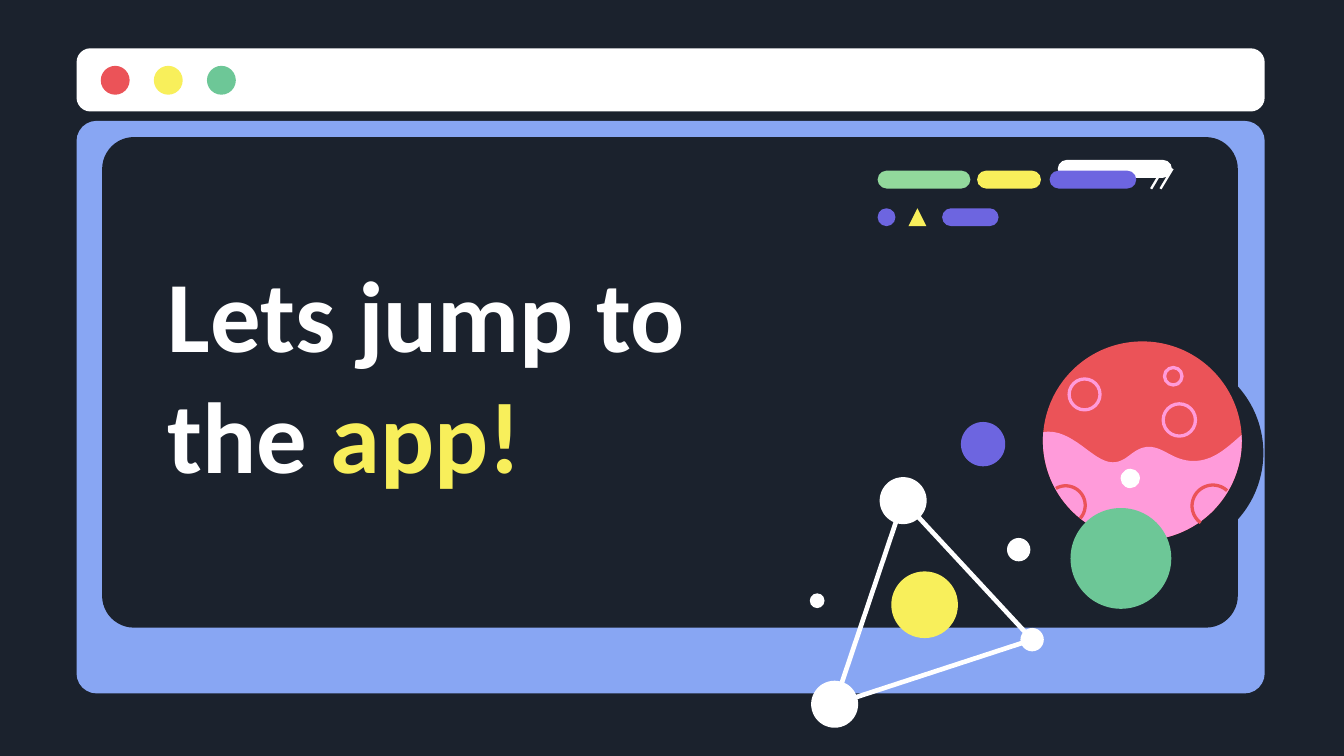
from dataclasses import dataclass
from math import cos, radians, sin

from lxml.etree import SubElement
from pptx import Presentation
from pptx.dml.color import RGBColor
from pptx.enum.shapes import MSO_CONNECTOR, MSO_SHAPE
from pptx.enum.text import MSO_ANCHOR
from pptx.oxml.ns import qn
from pptx.util import Inches, Pt


@dataclass(frozen=True)
class Theme:
    night: RGBColor = RGBColor.from_string("1B222D")
    frame: RGBColor = RGBColor.from_string("88A6F3")
    white: RGBColor = RGBColor.from_string("FFFFFF")
    red: RGBColor = RGBColor.from_string("EB5358")
    yellow: RGBColor = RGBColor.from_string("F8EF5B")
    green: RGBColor = RGBColor.from_string("6DC797")
    mint: RGBColor = RGBColor.from_string("92D99C")
    violet: RGBColor = RGBColor.from_string("6D65E0")
    pink: RGBColor = RGBColor.from_string("FF9BDA")
    font: str = "Calibri"
    title_size: int = 54
    crater_line: float = 1.75


theme = Theme()
presentation = Presentation()
presentation.slide_width = Inches(10)
presentation.slide_height = Inches(5.625)
slide = presentation.slides.add_slide(presentation.slide_layouts[6])
slide.background.fill.solid()
slide.background.fill.fore_color.rgb = theme.night

# Grid of 100 columns by 56.25 rows; all places below count in its square cells.
CELL = presentation.slide_width // 100


def add_preset(kind, left, top, width, height, fill=None, outline=None, corner=None):
    """Add a preset shape placed in grid cells, filled, outlined or both."""
    shape = slide.shapes.add_shape(
        kind, *(round(cells * CELL) for cells in (left, top, width, height)))
    shape.shadow.inherit = False
    if corner is not None:
        shape.adjustments[0] = corner
    if fill is None:
        shape.fill.background()
    else:
        shape.fill.solid()
        shape.fill.fore_color.rgb = fill
    if outline is None:
        shape.line.fill.background()
    else:
        shape.line.color.rgb = outline
        shape.line.width = Pt(theme.crater_line)


def arc_points(center_x, center_y, radius, start, end):
    """Return points along an arc, angles in degrees clockwise from the right."""
    angles = [radians(start + (end - start) * step / 60) for step in range(61)]
    return [(center_x + radius * cos(a), center_y + radius * sin(a)) for a in angles]


# Browser window
for left, top, width, height, corner, fill in [
    (5.7, 9, 88.4, 42.6, 0.035, theme.frame),
    (7.6, 10.2, 84.5, 36.5, 0.065, theme.night),
    (5.7, 3.6, 88.4, 4.7, 0.22, theme.white),
]:
    add_preset(MSO_SHAPE.ROUNDED_RECTANGLE, left, top, width, height, fill, corner=corner)
for index, fill in enumerate([theme.red, theme.yellow, theme.green]):
    add_preset(MSO_SHAPE.OVAL, 7.5 + 3.95 * index, 4.9, 2.15, 2.15, fill)

# Code pills
PILL = 1.33
for left, top, width, fill in [
    (78.7, 11.9, 8.5, theme.white),
    (65.3, 12.7, 6.9, theme.mint),
    (72.7, 12.7, 4.75, theme.yellow),
    (78.1, 12.7, 6.45, theme.violet),
    (65.3, 15.5, PILL, theme.violet),
    (70.1, 15.5, 4.2, theme.violet),
]:
    add_preset(MSO_SHAPE.ROUNDED_RECTANGLE, left, top, width, PILL, fill, corner=0.5)
add_preset(MSO_SHAPE.ISOSCELES_TRIANGLE, 67.6, 15.5, PILL, PILL, theme.yellow)

# Planet with its shade and upper craters
PLANET_X, PLANET_Y, PLANET_RADIUS = 85, 32.8, 7.4
for x, y, radius, fill, outline in [
    (86.6, 33.7, PLANET_RADIUS, theme.night, None),
    (PLANET_X, PLANET_Y, PLANET_RADIUS, theme.red, None),
    (80.7, 29.35, 1.15, None, theme.pink),
    (87.75, 31.25, 1.2, None, theme.pink),
    (87.3, 28, 0.65, None, theme.pink),
]:
    add_preset(MSO_SHAPE.OVAL, x - radius, y - radius, 2 * radius, 2 * radius, fill, outline)

# Pink sea: a wave of cubic curves closed by the lower rim, then its cut craters
wave = [(77.6, 32.15)]
for first, second, end in [
    ((79.8, 31.8), (81.3, 34.4), (82.8, 34.4)),
    ((83.9, 34.4), (84.3, 33.25), (85.5, 33.25)),
    ((86.6, 33.25), (87.3, 34.3), (88.8, 34.3)),
    ((90.3, 34.3), (91.3, 33.3), (92.4, 32.35)),
]:
    start = wave[-1]
    for t in [step / 16 for step in range(1, 17)]:
        u = 1 - t
        wave.append(tuple(
            u**3 * a + 3 * u * u * t * b + 3 * u * t * t * c + t**3 * d
            for a, b, c, d in zip(start, first, second, end)))
rim = arc_points(PLANET_X, PLANET_Y, PLANET_RADIUS, -3, 185)

for points, is_sea in [
    (wave + rim, True),
    (arc_points(79.3, 37.6, 1.45, 240, 402), False),
    (arc_points(90.25, 37.65, 1.55, 126, 313), False),
]:
    corners = [(round(x * CELL), round(y * CELL)) for x, y in points]
    builder = slide.shapes.build_freeform(*corners[0])
    builder.add_line_segments(corners[1:], close=is_sea)
    shape = builder.convert_to_shape()
    shape.shadow.inherit = False
    if is_sea:
        shape.fill.solid()
        shape.fill.fore_color.rgb = theme.pink
        shape.line.fill.background()
    else:
        shape.fill.background()
        shape.line.color.rgb = theme.red
        shape.line.width = Pt(theme.crater_line)

# Slashes beside the pills and edges of the triangle network
TOP_NODE, LOW_NODE, RIGHT_NODE = (67.2, 37.25), (62.1, 52.4), (76.8, 47.6)
for start, end, width in [
    ((86.55, 12.55), (85.65, 14.05), 1.25),
    ((87.25, 12.55), (86.35, 14.05), 1.25),
    (TOP_NODE, LOW_NODE, 2.5),
    (LOW_NODE, RIGHT_NODE, 2.5),
    (RIGHT_NODE, TOP_NODE, 2.5),
]:
    connector = slide.shapes.add_connector(
        MSO_CONNECTOR.STRAIGHT, *(round(cells * CELL) for cells in start + end))
    connector.line.color.rgb = theme.white
    connector.line.width = Pt(width)
    SubElement(connector._element.spPr, qn("a:effectLst"))

# Network nodes, floating dots and balls
for (x, y), radius, fill in [
    (TOP_NODE, 1.75, theme.white),
    (LOW_NODE, 1.75, theme.white),
    (RIGHT_NODE, 0.87, theme.white),
    ((75.8, 40.9), 0.87, theme.white),
    ((60.8, 44.7), 0.55, theme.white),
    ((84.1, 35.6), 0.72, theme.white),
    ((68.8, 45), 2.48, theme.yellow),
    ((73.15, 33.05), 1.65, theme.violet),
    ((83.4, 41.55), 3.75, theme.green),
]:
    add_preset(MSO_SHAPE.OVAL, x - radius, y - radius, 2 * radius, 2 * radius, fill)

# Title
title = slide.shapes.add_textbox(
    *(round(cells * CELL) for cells in (11.5, 23.2, 43.5, 9.1)))
frame_format = {
    "word_wrap": True, "vertical_anchor": MSO_ANCHOR.MIDDLE,
    **{f"margin_{side}": CELL for side in ("left", "top", "right", "bottom")},
}
for name, value in frame_format.items():
    setattr(title.text_frame, name, value)
paragraph = title.text_frame.paragraphs[0]
font_format = {"name": theme.font, "size": Pt(theme.title_size), "bold": True}
for text, color in [("Lets jump to the ", theme.white), ("app!", theme.yellow)]:
    run = paragraph.add_run()
    run.text = text
    run.font.color.rgb = color
    for name, value in font_format.items():
        setattr(run.font, name, value)

presentation.save("out.pptx")
